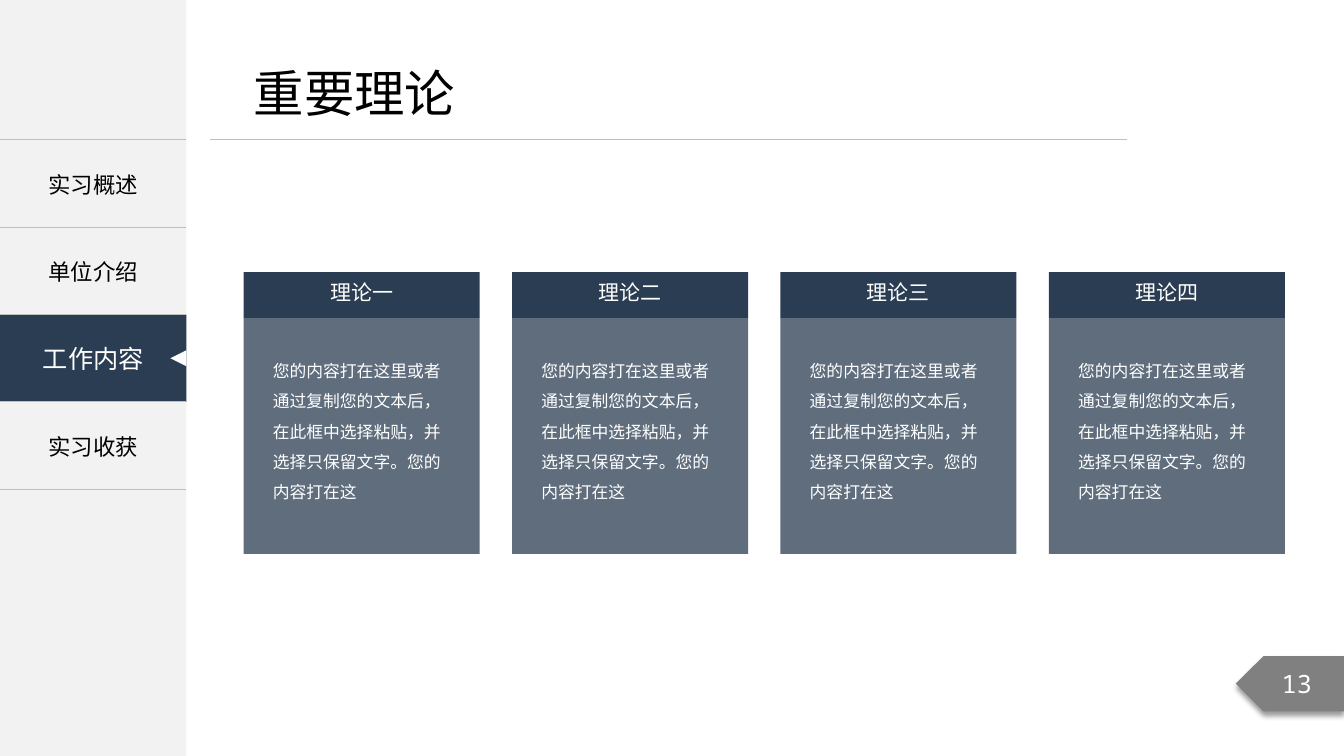
from lxml.etree import SubElement
from pptx import Presentation
from pptx.dml.color import RGBColor
from pptx.enum.shapes import MSO_CONNECTOR, MSO_SHAPE
from pptx.enum.text import MSO_ANCHOR, MSO_AUTO_SIZE, PP_ALIGN
from pptx.oxml.ns import qn
from pptx.util import Pt

NAVY = RGBColor(0x2A, 0x3D, 0x52)
PALE = RGBColor(0xF2, 0xF2, 0xF2)
RULE = RGBColor(0xBF, 0xBF, 0xBF)
GRAY = RGBColor(0x80, 0x80, 0x80)
WHITE = RGBColor(0xFF, 0xFF, 0xFF)
BLACK = RGBColor(0, 0, 0)

SIDEBAR_WIDTH = 133.2
MENU_TOP, MENU_ROW = 99.9, 62.4
MENU = ["实习概述", "单位介绍", "工作内容", "实习收获"]
ACTIVE = 2

CARD_LEFT, CARD_TOP, CARD_STEP = 174, 194.4, 191.75
CARD_WIDTH, HEADER_HEIGHT = 168.6, 32.7
THEORIES = ["理论一", "理论二", "理论三", "理论四"]
THEORY_TEXT = "您的内容打在这里或者通过复制您的文本后，在此框中选择粘贴，并选择只保留文字。您的内容打在这"


def write(frame, text, size=12, color=WHITE, font="Noto Sans CJK SC",
          align=PP_ALIGN.LEFT, anchor=MSO_ANCHOR.TOP, spacing=None, wrap=True):
    frame.word_wrap = wrap
    frame.auto_size = MSO_AUTO_SIZE.NONE
    frame.vertical_anchor = anchor
    format_line(frame.paragraphs[0], text, size, color, font, align, spacing)


def format_line(para, text, size, color, font, align, spacing=None):
    para.alignment = align
    if spacing:
        para.line_spacing = spacing
    span = para.add_run()
    span.text = text
    span.font.size = Pt(size)
    span.font.color.rgb = color
    span.font.name = font
    east_asian = SubElement(span.font._element, qn("a:ea"))
    east_asian.set("typeface", font)


def add_color(parent, color, alpha=None):
    """Append a solid colour element, with opacity in percent."""
    element = SubElement(parent, qn("a:srgbClr"), val=str(color))
    if alpha is not None:
        SubElement(element, qn("a:alpha"), val=str(alpha * 1000))


class SlideBuilder:
    def __init__(self, slide, font="Noto Sans CJK SC"):
        self.slide = slide
        self.font = font

    def title(self, text, left, top, width, height):
        title = self.slide.shapes.title
        title.left, title.top = Pt(left), Pt(top)
        title.width, title.height = Pt(width), Pt(height)
        write(title.text_frame, text, size=36, color=BLACK, font=self.font, wrap=False)

    def shape(self, kind, left, top, width, height, fill, alpha=None):
        shape = self.slide.shapes.add_shape(kind, Pt(left), Pt(top), Pt(width), Pt(height))
        shape.shadow.inherit = False
        shape.fill.solid()
        shape.fill.fore_color.rgb = fill
        shape.line.fill.background()
        if alpha is not None:
            solid = shape._element.spPr.find(qn("a:solidFill"))
            solid.remove(solid[0])
            add_color(solid, fill, alpha)
        return shape

    def text(self, text, left, top, width, height, **style):
        box = self.slide.shapes.add_textbox(Pt(left), Pt(top), Pt(width), Pt(height))
        write(box.text_frame, text, font=self.font, **style)

    def rule(self, left, right, top):
        line = self.slide.shapes.add_connector(
            MSO_CONNECTOR.STRAIGHT, Pt(left), Pt(top), Pt(right), Pt(top))
        line.line.color.rgb = RULE
        line.line.width = Pt(0.5)
        SubElement(line._element.spPr, qn("a:effectLst"))

    def page_tag(self, number, left, top, width, height):
        tag = self.shape(MSO_SHAPE.PENTAGON, left, top, width, height, GRAY)
        properties = tag._element.spPr
        properties.find(qn("a:xfrm")).set("flipH", "1")
        shadow = SubElement(properties.find(qn("a:effectLst")), qn("a:outerShdw"),
                            blurRad=str(Pt(4)), dist=str(Pt(3)), dir="5400000",
                            algn="t", rotWithShape="0")
        add_color(shadow, BLACK, 40)
        write(tag.text_frame, number, size=18, font="Noto Sans Mono",
              align=PP_ALIGN.CENTER, anchor=MSO_ANCHOR.MIDDLE)

    def menu(self, labels, active):
        top = MENU_TOP + active * MENU_ROW
        tab = self.shape(MSO_SHAPE.RECTANGLE, 0, top, SIDEBAR_WIDTH, MENU_ROW, NAVY)
        write(tab.text_frame, labels[active], size=18, font=self.font,
              align=PP_ALIGN.CENTER, anchor=MSO_ANCHOR.MIDDLE)
        pointer_size = 11.5
        pointer = self.shape(MSO_SHAPE.ISOSCELES_TRIANGLE, SIDEBAR_WIDTH - pointer_size,
                             top + (MENU_ROW - pointer_size) / 2,
                             pointer_size, pointer_size, WHITE)
        pointer.rotation = 270

        frame = self.slide.shapes.add_table(
            len(labels), 1, Pt(0), Pt(MENU_TOP), Pt(SIDEBAR_WIDTH), Pt(MENU_ROW * len(labels)))
        table = frame.table
        table.first_row = table.horz_banding = False
        for index, label in enumerate(labels):
            table.rows[index].height = Pt(MENU_ROW)
            cell = table.cell(index, 0)
            cell.vertical_anchor = MSO_ANCHOR.MIDDLE
            self.cell_borders(cell)
            cell.fill.background()
            if index != active:
                format_line(cell.text_frame.paragraphs[0], label, 16, BLACK,
                            self.font, PP_ALIGN.CENTER)

    def cell_borders(self, cell):
        """Rule the cell above and below, leaving its sides open."""
        properties = cell._tc.get_or_add_tcPr()
        for side in ("lnL", "lnR"):
            SubElement(SubElement(properties, qn(f"a:{side}")), qn("a:noFill"))
        for side in ("lnT", "lnB"):
            border = SubElement(properties, qn(f"a:{side}"), w=str(Pt(1)))
            add_color(SubElement(border, qn("a:solidFill")), RULE)

    def card(self, heading, body, left):
        body_top = CARD_TOP + HEADER_HEIGHT
        self.shape(MSO_SHAPE.RECTANGLE, left, CARD_TOP, CARD_WIDTH, HEADER_HEIGHT, NAVY)
        self.shape(MSO_SHAPE.RECTANGLE, left, body_top, CARD_WIDTH, CARD_WIDTH, NAVY, alpha=75)
        self.text(heading, left + 27.5, CARD_TOP + 2, CARD_WIDTH - 55, 25.4,
                  size=15, align=PP_ALIGN.CENTER)
        self.text(body, left + 13.8, body_top + 20, 142, 114, spacing=1.5)


def main():
    deck = Presentation()
    deck.slide_width, deck.slide_height = Pt(960), Pt(540)
    page = SlideBuilder(deck.slides.add_slide(deck.slide_layouts[5]))
    page.shape(MSO_SHAPE.RECTANGLE, 0, 0, SIDEBAR_WIDTH, 540, PALE)
    page.rule(150.3, 805, MENU_TOP)
    page.page_tag("13", 882.7, 468.6, 77.3, 39.6)
    page.menu(MENU, ACTIVE)
    page.title("重要理论", 174, 41, 160, 51)
    for index, theory in enumerate(THEORIES):
        page.card(theory, THEORY_TEXT, CARD_LEFT + index * CARD_STEP)
    deck.save("out.pptx")


if __name__ == "__main__":
    main()
